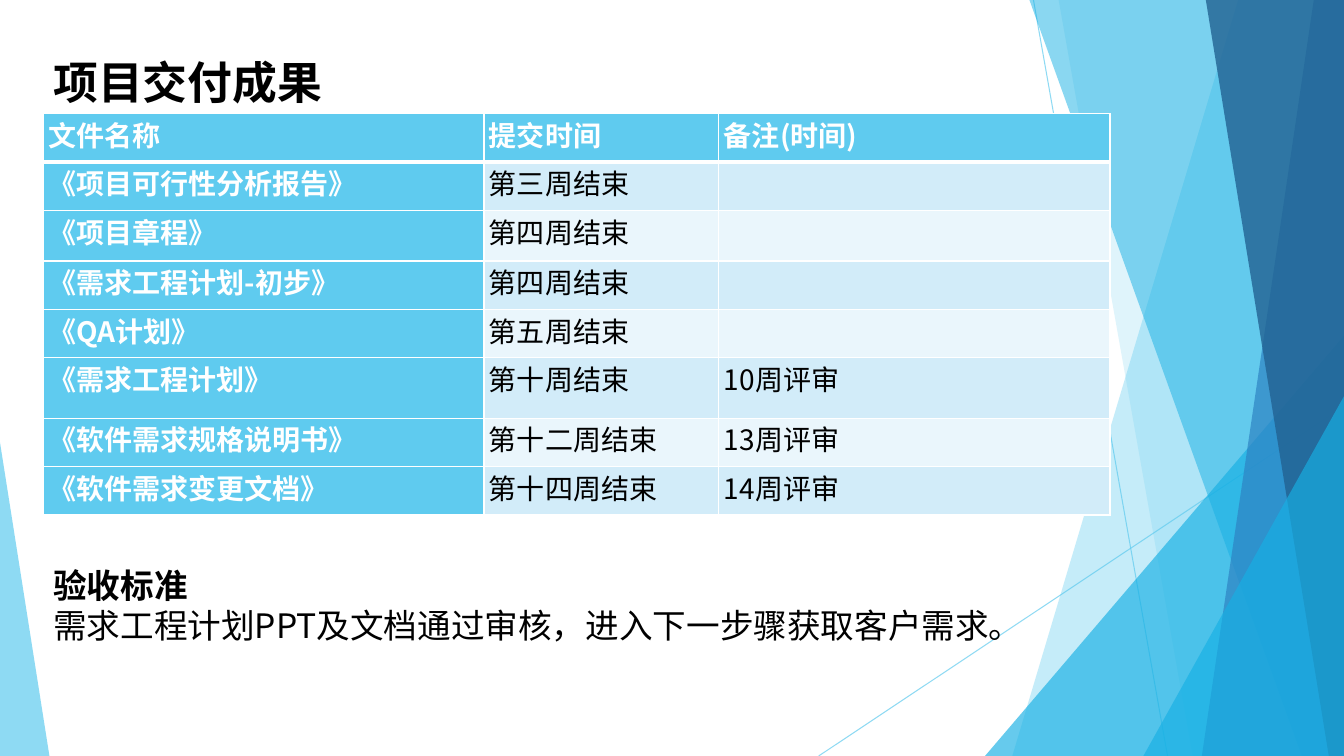
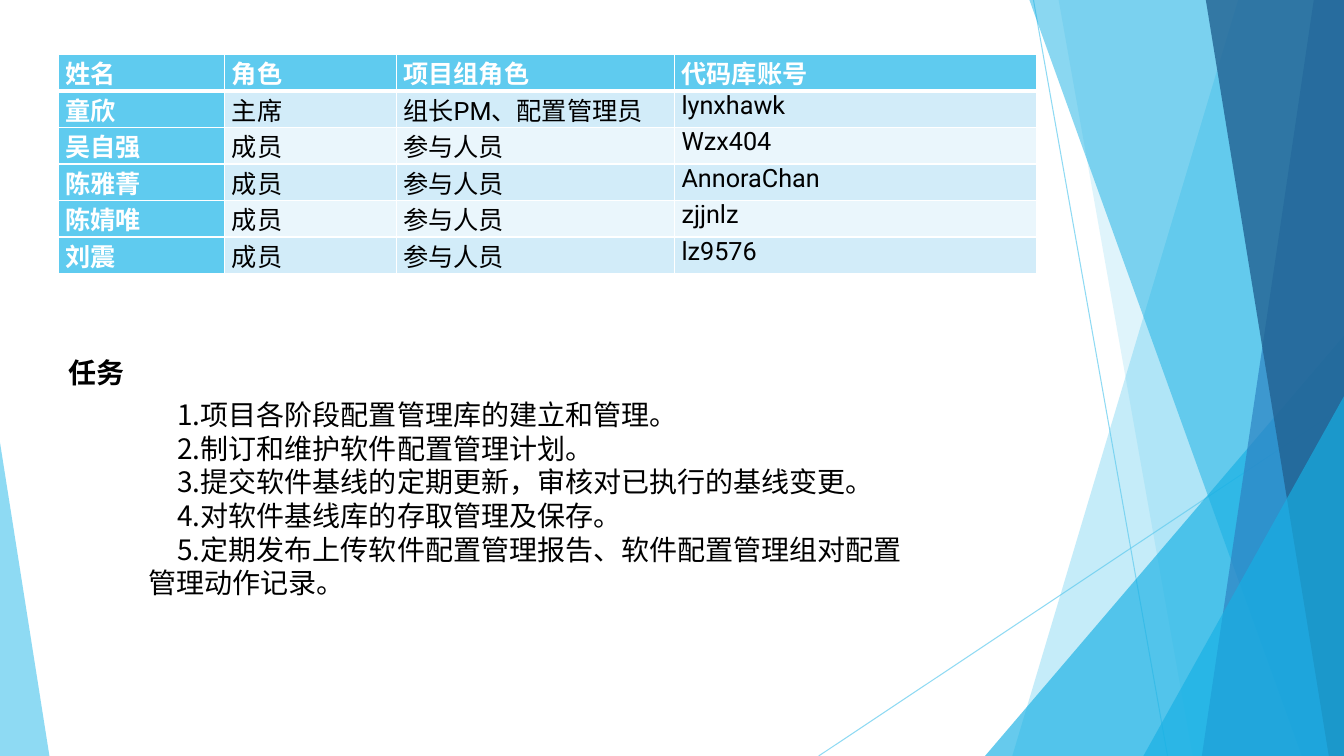
from dataclasses import dataclass

from lxml import etree
from pptx import Presentation
from pptx.dml.color import RGBColor
from pptx.enum.shapes import MSO_CONNECTOR, MSO_SHAPE
from pptx.enum.text import MSO_ANCHOR, PP_ALIGN
from pptx.oxml.ns import qn
from pptx.util import Emu, Pt

STRAIGHT = MSO_CONNECTOR.STRAIGHT
TRIANGLE = MSO_SHAPE.ISOSCELES_TRIANGLE
LEFT, JUSTIFY = PP_ALIGN.LEFT, PP_ALIGN.JUSTIFY
TOP, MIDDLE = MSO_ANCHOR.TOP, MSO_ANCHOR.MIDDLE

EMU_PER_PX = 9144  # 100 px to the inch
SLIDE_W, SLIDE_H = 1333, 750

SKY, AZURE, BLUE, NAVY = "5FCBEF", "17B0E4", "2E83C3", "226292"
BAND_DARK, BAND_LIGHT = "D2ECF9", "EAF6FC"
WHITE, BLACK = "FFFFFF", "000000"
CJK_FONT, LATIN_FONT, SERIF_FONT = "Noto Sans CJK SC", "Roboto", "Times New Roman"
LINE_RATIO = 1.2


@dataclass(frozen=True)
class Ray:
    start: tuple[int, int]
    end: tuple[int, int]


@dataclass(frozen=True)
class Facet:
    """A panel reaching the right edge, slanted on its left side."""
    top_x: int
    bottom_x: int
    color: str
    opacity: int


@dataclass(frozen=True)
class Corner:
    """A right triangle standing on the bottom edge."""
    left: int
    top: int
    width: int
    apex: int
    color: str
    opacity: int


@dataclass(frozen=True)
class TextStyle:
    size: int
    color: str = BLACK
    bold: bool = False
    font: str = CJK_FONT


@dataclass(frozen=True)
class Grid:
    left: int
    top: int
    columns: list[int]
    row_heights: list[int]
    inset: int
    size: int
    font: str
    align: PP_ALIGN
    header_anchor: MSO_ANCHOR
    rows: list[list[str]]


RAYS = [Ray((1025, 0), (1158, 750)), Ray((1333, 403), (812, 750))]
PANELS = [
    Facet(1228, 1004, SKY, 36),
    Facet(1050, 1183, SKY, 20),
    Corner(977, 333, 356, 1, AZURE, 66),
    Facet(1021, 1291, AZURE, 50),
    Facet(1303, 1192, BLUE, 70),
    Facet(1196, 1318, NAVY, 80),
    Corner(1134, 393, 199, 1, AZURE, 66),
    Corner(0, 439, 49, 0, SKY, 70),
]

DELIVERABLES = Grid(
    43, 113, [437, 233, 388], [48, 48, 50, 48, 48, 60, 48, 48],
    5, 20, CJK_FONT, JUSTIFY, TOP,
    [
        ["文件名称", "提交时间", "备注(时间)"],
        ["《项目可行性分析报告》", "第三周结束", ""],
        ["《项目章程》", "第四周结束", ""],
        ["《需求工程计划-初步》", "第四周结束", ""],
        ["《QA计划》", "第五周结束", ""],
        ["《需求工程计划》", "第十周结束", "10周评审"],
        ["《软件需求规格说明书》", "第十二周结束", "13周评审"],
        ["《软件需求变更文档》", "第十四周结束", "14周评审"],
    ],
)
MEMBERS = Grid(
    58, 54, [165, 170, 276, 359], [36] * 6,
    7, 18, LATIN_FONT, LEFT, MIDDLE,
    [
        ["姓名", "角色", "项目组角色", "代码库账号"],
        ["童欣", "主席", "组长PM、配置管理员", "lynxhawk"],
        ["吴自强", "成员", "参与人员", "Wzx404"],
        ["陈雅菁", "成员", "参与人员", "AnnoraChan"],
        ["陈婧唯", "成员", "参与人员", "zjjnlz"],
        ["刘震", "成员", "参与人员", "lz9576"],
    ],
)
TASKS = [
    "项目各阶段配置管理库的建立和管理。",
    "制订和维护软件配置管理计划。",
    "提交软件基线的定期更新，审核对已执行的基线变更。",
    "对软件基线库的存取管理及保存。",
    "定期发布上传软件配置管理报告、软件配置管理组对配置管理动作记录。",
]


def px(length: int) -> Emu:
    return Emu(length * EMU_PER_PX)


def rgb(color: str) -> RGBColor:
    return RGBColor.from_string(color)


def set_opacity(properties, percent: int) -> None:
    for color in properties.iter(qn("a:srgbClr")):
        etree.SubElement(color, qn("a:alpha"), val=str(percent * 1000))


# Shared backdrop
def add_ray(slide, ray: Ray) -> None:
    line = slide.shapes.add_connector(STRAIGHT, *map(px, ray.start + ray.end))
    line.line.color.rgb = rgb(SKY)
    line.line.width = Pt(0.75)
    properties = line.element.spPr
    set_opacity(properties, 70)
    etree.SubElement(properties, qn("a:effectLst"))


def add_panel(slide, panel: Facet | Corner) -> None:
    if isinstance(panel, Facet):
        outline = slide.shapes.build_freeform(panel.top_x, 0, scale=EMU_PER_PX)
        outline.add_line_segments(
            [(SLIDE_W, 0), (SLIDE_W, SLIDE_H), (panel.bottom_x, SLIDE_H)])
        shape = outline.convert_to_shape()
    else:
        shape = slide.shapes.add_shape(
            TRIANGLE, px(panel.left), px(panel.top),
            px(panel.width), px(SLIDE_H - panel.top))
        shape.adjustments[0] = panel.apex
    shape.shadow.inherit = False
    shape.fill.solid()
    shape.fill.fore_color.rgb = rgb(panel.color)
    shape.line.fill.background()
    set_opacity(shape.element.spPr, panel.opacity)


def add_slide(deck):
    slide = deck.slides.add_slide(deck.slide_layouts[6])
    for ray in RAYS:
        add_ray(slide, ray)
    for panel in PANELS:
        add_panel(slide, panel)
    return slide


# Text
def add_run(paragraph, text: str, style: TextStyle) -> None:
    run = paragraph.add_run()
    run.text = text
    font = run.font
    font.size, font.bold, font.name = Pt(style.size), style.bold, style.font
    font.color.rgb = rgb(style.color)
    etree.SubElement(run.font._element, qn("a:ea"), typeface=CJK_FONT)


def add_text_frame(slide, left: int, top: int, width: int, height: int,
                   wrap: bool = True):
    box = slide.shapes.add_textbox(px(left), px(top), px(width), px(height))
    box.text_frame.word_wrap = wrap
    return box.text_frame


def write_lines(frame, lines: list[list[tuple[str, TextStyle]]]) -> None:
    for index, runs in enumerate(lines):
        paragraph = frame.add_paragraph() if index else frame.paragraphs[0]
        for text, style in runs:
            add_run(paragraph, text, style)
        paragraph.line_spacing = Pt(runs[0][1].size * LINE_RATIO)


# Tables
def add_borders(cell, row: int) -> None:
    properties = cell._tc.get_or_add_tcPr()
    widths = {"lnL": 1, "lnR": 1, "lnT": 3 if row == 1 else 1,
              "lnB": 3 if row == 0 else 1}
    for side, width in widths.items():
        border = etree.SubElement(properties, qn(f"a:{side}"), w=str(Pt(width)))
        fill = etree.SubElement(border, qn("a:solidFill"))
        etree.SubElement(fill, qn("a:srgbClr"), val=WHITE)


def add_grid(slide, grid: Grid) -> None:
    table = slide.shapes.add_table(
        len(grid.rows), len(grid.columns), px(grid.left), px(grid.top),
        px(sum(grid.columns)), px(sum(grid.row_heights))).table
    for column, width in zip(table.columns, grid.columns):
        column.width = px(width)
    for row, (texts, height) in enumerate(zip(grid.rows, grid.row_heights)):
        table.rows[row].height = px(height)
        for column, text in enumerate(texts):
            heading = row == 0 or column == 0
            band = BAND_DARK if row % 2 else BAND_LIGHT
            cell = table.cell(row, column)
            cell.margin_left = cell.margin_right = px(grid.inset)
            cell.margin_top = cell.margin_bottom = 0
            cell.vertical_anchor = TOP if row else grid.header_anchor
            add_borders(cell, row)
            cell.fill.solid()
            cell.fill.fore_color.rgb = rgb(SKY if heading else band)
            if text:
                paragraph = cell.text_frame.paragraphs[0]
                paragraph.alignment = grid.align
                color = WHITE if heading else BLACK
                add_run(paragraph, text,
                        TextStyle(grid.size, color, heading, grid.font))


# Slides
def build_deliverables(deck) -> None:
    slide = add_slide(deck)
    title = add_text_frame(slide, 43, 49, 288, 64, wrap=False)
    write_lines(title, [[("项目交付成果", TextStyle(32, bold=True))]])
    add_grid(slide, DELIVERABLES)
    acceptance = add_text_frame(slide, 43, 555, 952, 91)
    write_lines(acceptance, [
        [("验收标准", TextStyle(24, bold=True))],
        [("需求工程计划PPT及文档通过审核，进入下一步骤获取客户需求。",
          TextStyle(24))],
    ])


def build_team(deck) -> None:
    slide = add_slide(deck)
    add_grid(slide, MEMBERS)
    duties = add_text_frame(slide, 58, 348, 854, 254)
    number, body = TextStyle(20), TextStyle(20, font=SERIF_FONT)
    heading = [("任务", TextStyle(20, bold=True, font=SERIF_FONT))]
    write_lines(duties, [heading] + [
        [(f"{index}.", number), (task, body)]
        for index, task in enumerate(TASKS, 1)])
    first, *tasks = duties.paragraphs
    first.space_before = first.space_after = Pt(6)
    for task in tasks:
        properties = task._p.get_or_add_pPr()
        properties.set("marL", str(px(79)))
        properties.set("indent", str(px(29)))


def main() -> None:
    deck = Presentation()
    deck.slide_width, deck.slide_height = px(SLIDE_W), px(SLIDE_H)
    build_deliverables(deck)
    build_team(deck)
    deck.save("out.pptx")


if __name__ == "__main__":
    main()
